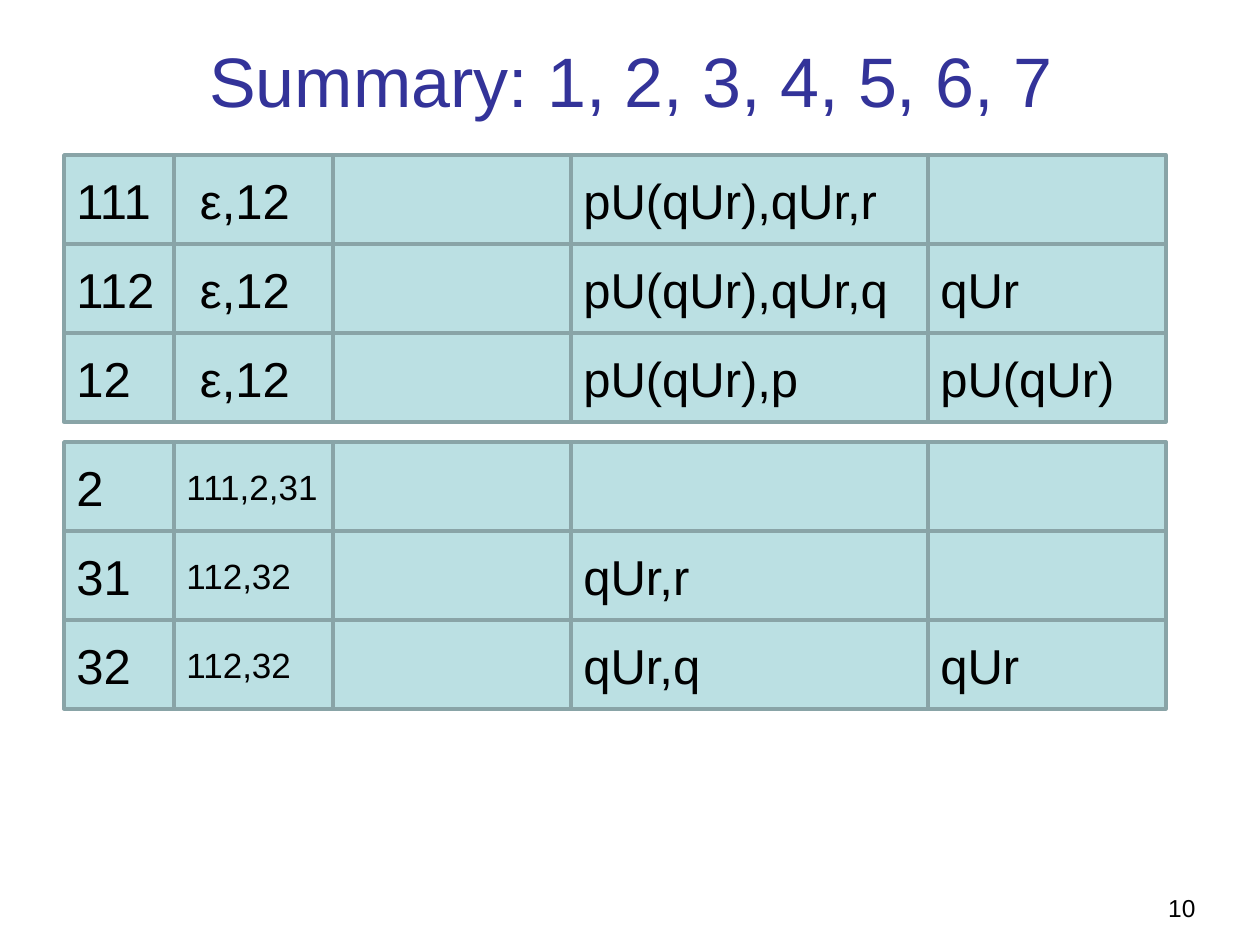
from dataclasses import dataclass
from itertools import pairwise

from pptx import Presentation, util as u
from pptx.dml.color import RGBColor
from pptx.enum import shapes, text
from pptx.shapes.autoshape import Shape
from pptx.slide import Slide

EMU_PER_PX = 914400 // 126
FONT = "Arial"
COLORS = {"title": "333399", "text": "000000", "cell": "BBE0E3", "border": "89A4A7"}
COLUMN_EDGES = (64, 174, 333, 571, 928, 1166)
ROW_HEIGHT = 89
LABEL_SIZE = 28


@dataclass(frozen=True)
class Grid:
    top: int
    successor_size: int
    rows: tuple[tuple[str, ...], ...]


GRIDS = (
    Grid(155, 28, (
        ("111", " ε,12", "", "pU(qUr),qUr,r", ""),
        ("112", " ε,12", "", "pU(qUr),qUr,q", "qUr"),
        ("12", " ε,12", "", "pU(qUr),p", "pU(qUr)"),
    )),
    Grid(442, 20, (
        ("2", "111,2,31", "", "", ""),
        ("31", "112,32", "", "qUr,r", ""),
        ("32", "112,32", "", "qUr,q", "qUr"),
    )),
)


def px(length: int) -> u.Emu:
    return u.Emu(length * EMU_PER_PX)


def write(shape: Shape, content: str, *, size: int, color: str = "text",
          align: text.PP_ALIGN = text.PP_ALIGN.LEFT,
          anchor: text.MSO_ANCHOR = text.MSO_ANCHOR.MIDDLE) -> None:
    frame = shape.text_frame
    frame.word_wrap = True
    frame.auto_size = text.MSO_AUTO_SIZE.NONE
    frame.vertical_anchor = anchor
    paragraph = frame.paragraphs[0]
    paragraph.alignment = align
    run = paragraph.add_run()
    run.text = content
    run.font.name = FONT
    run.font.size = u.Pt(size)
    run.font.color.rgb = RGBColor.from_string(COLORS[color])


def draw_cell(slide: Slide, left: int, top: int, width: int, content: str, size: int) -> None:
    cell = slide.shapes.add_shape(
        shapes.MSO_SHAPE.RECTANGLE, px(left), px(top), px(width), px(ROW_HEIGHT))
    cell.shadow.inherit = False
    cell.fill.solid()
    cell.fill.fore_color.rgb = RGBColor.from_string(COLORS["cell"])
    cell.line.color.rgb = RGBColor.from_string(COLORS["border"])
    cell.line.width = u.Pt(2)
    if content:
        write(cell, content, size=size)


def draw_grid(slide: Slide, grid: Grid) -> None:
    for row_index, row in enumerate(grid.rows):
        top = grid.top + row_index * ROW_HEIGHT
        for column, (left, right) in enumerate(pairwise(COLUMN_EDGES)):
            size = grid.successor_size if column == 1 else LABEL_SIZE
            draw_cell(slide, left, top, right - left, row[column], size)


def main() -> None:
    presentation = Presentation()
    presentation.slide_width, presentation.slide_height = px(1260), px(945)
    slide = presentation.slides.add_slide(presentation.slide_layouts[5])

    title = slide.shapes.title
    title.left, title.top, title.width, title.height = px(64), px(0), px(1134), px(158)
    write(title, "Summary: 1, 2, 3, 4, 5, 6, 7", size=40, color="title",
          align=text.PP_ALIGN.CENTER)

    for grid in GRIDS:
        draw_grid(slide, grid)

    page_number = slide.shapes.add_textbox(px(809), px(859), px(399), px(70))
    write(page_number, "10", size=14, align=text.PP_ALIGN.RIGHT,
          anchor=text.MSO_ANCHOR.BOTTOM)

    presentation.save("out.pptx")


if __name__ == "__main__":
    main()
